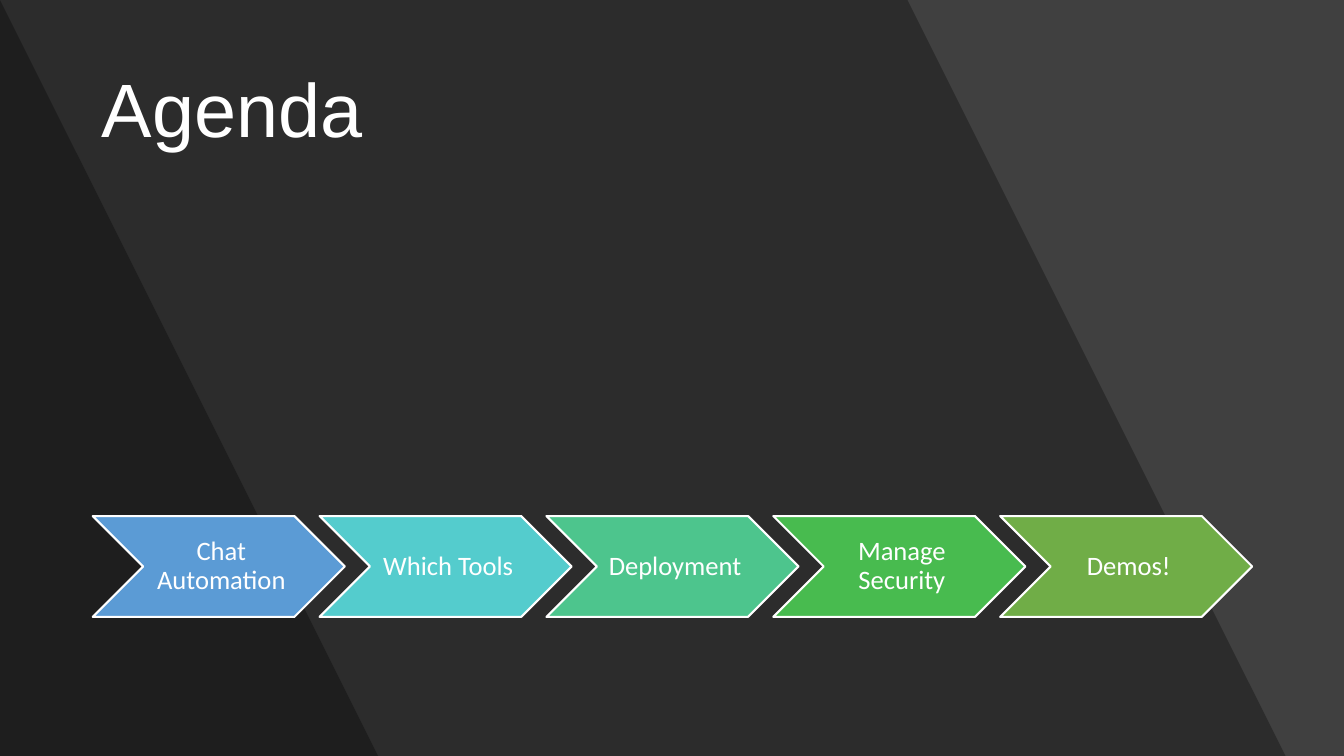
from lxml import etree
from pptx import Presentation
from pptx import util as u
from pptx.dml import color
from pptx.enum import shapes, text
from pptx.oxml import ns


def paint(target, hex_color):
    target.solid()
    target.fore_color.rgb = color.RGBColor.from_string(hex_color)


class AgendaSlide:
    white = "FFFFFF"
    title_font = "Arial"
    body_font = "Calibri"

    def __init__(self, deck):
        self.page = deck.slides.add_slide(deck.slide_layouts[5])
        paint(self.page.background.fill, "404040")

    def label(self, frame, words, size, font, align):
        frame.auto_size = text.MSO_AUTO_SIZE.NONE
        frame.word_wrap = True
        frame.vertical_anchor = text.MSO_ANCHOR.MIDDLE
        para = frame.paragraphs[0]
        para.alignment = align
        para.line_spacing = 0.9
        span = para.add_run()
        span.text = words
        span.font.size = u.Pt(size)
        span.font.name = font
        paint(span.font.fill, self.white)

    def band(self, top_edge, bottom_edge, height=7.5):
        outline = self.page.shapes.build_freeform(0, 0, scale=u.Inches(1))
        outline.add_line_segments([(top_edge, 0), (bottom_edge, height), (0, height)])
        shade = outline.convert_to_shape()
        shade.shadow.inherit = False
        shade.line.fill.background()
        paint(shade.fill, "000000")
        tone = shade.element.find(".//" + ns.qn("a:srgbClr"))
        etree.SubElement(tone, ns.qn("a:alpha")).set("val", "30000")

    def title(self, words, left, top, width, height):
        box = self.page.shapes.title
        box.left, box.top = u.Inches(left), u.Inches(top)
        box.width, box.height = u.Inches(width), u.Inches(height)
        box.element.getparent().append(box.element)
        self.label(box.text_frame, words, 54, self.title_font, text.PP_ALIGN.LEFT)

    def chevron(self, words, fill, left, top, width, height):
        step = self.page.shapes.add_shape(
            shapes.MSO_SHAPE.CHEVRON,
            u.Inches(left), u.Inches(top), u.Inches(width), u.Inches(height))
        step.shadow.inherit = False
        paint(step.fill, fill)
        paint(step.line.fill, self.white)
        step.line.width = u.Pt(1.5)
        frame = step.text_frame
        frame.margin_left = u.Inches(0.08)
        frame.margin_right = frame.margin_top = frame.margin_bottom = u.Inches(0.03)
        self.label(frame, words, 19, self.body_font, text.PP_ALIGN.CENTER)


def main():
    deck = Presentation()
    deck.slide_width, deck.slide_height = u.Inches(13.33), u.Inches(7.5)
    agenda = AgendaSlide(deck)
    for top_edge, bottom_edge in [(9.42, 12.89), (0.44, 3.92)]:
        agenda.band(top_edge, bottom_edge)
    agenda.title("Agenda", 0.91, 0.4, 11.51, 1.45)
    steps = [
        ("Chat Automation", "5B9BD5"),
        ("Which Tools", "54CCCD"),
        ("Deployment", "4DC58D"),
        ("Manage Security", "48BB4F"),
        ("Demos!", "70AD47"),
    ]
    for index, (words, fill) in enumerate(steps):
        agenda.chevron(words, fill, 0.92 + 2.25 * index, 5.12, 2.5, 1)
    deck.save("out.pptx")


if __name__ == "__main__":
    main()
